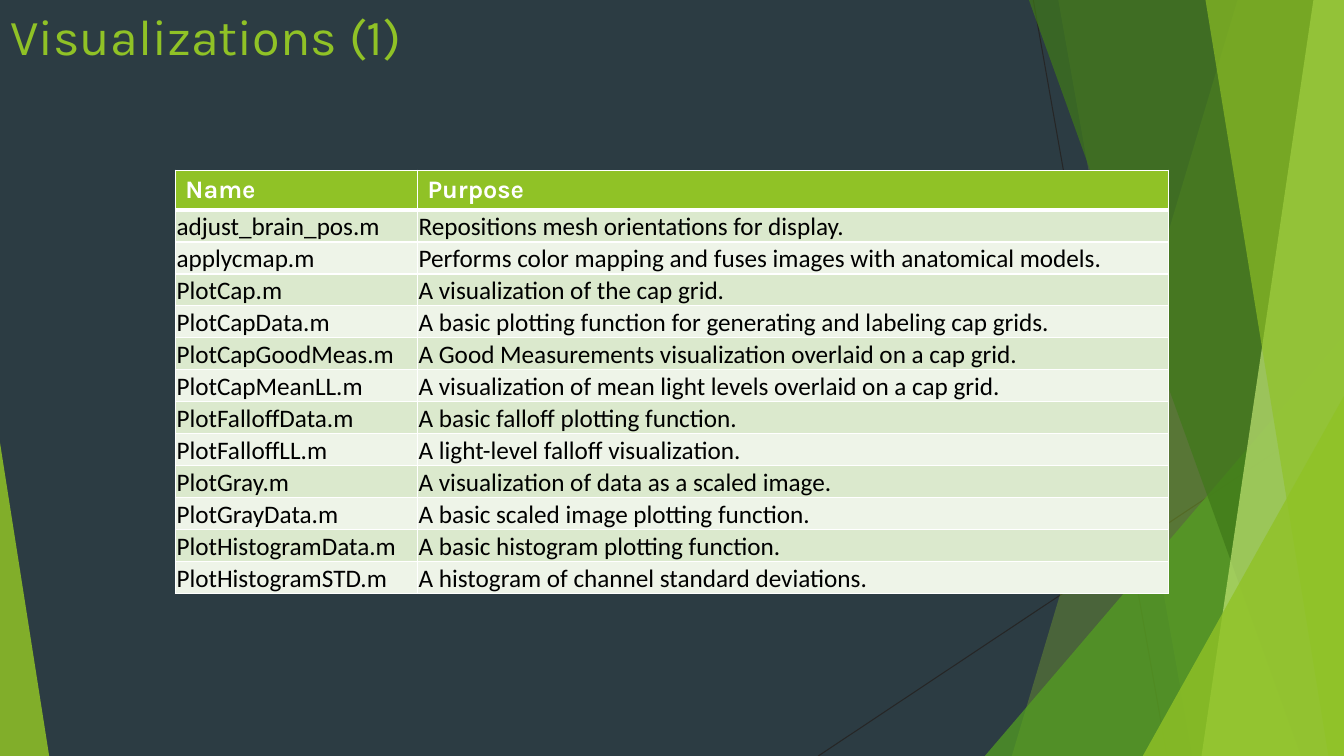
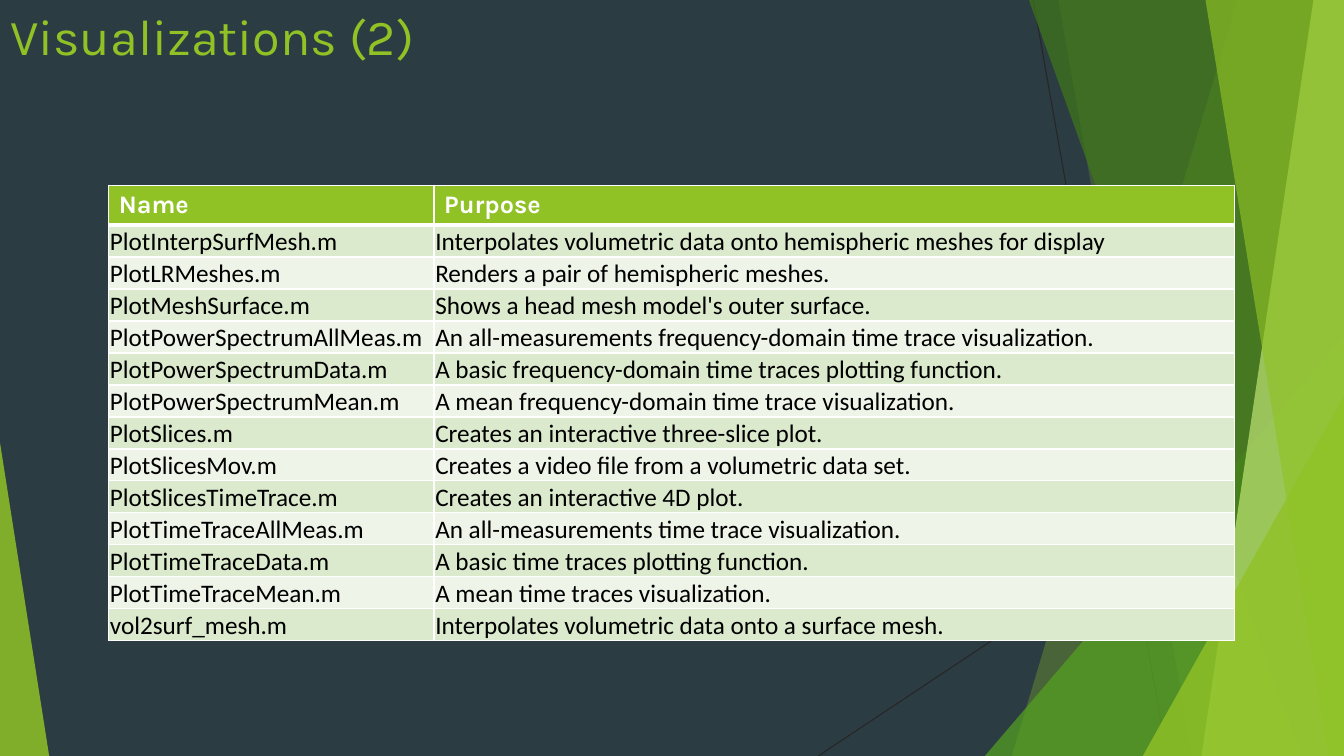
"""Builds the two slides that list the visualization functions."""
from dataclasses import dataclass

from pptx import Presentation
from pptx.dml.color import RGBColor
from pptx.enum.shapes import MSO_CONNECTOR, MSO_SHAPE
from pptx.enum.text import MSO_ANCHOR, MSO_AUTO_SIZE, PP_ALIGN
from pptx.oxml.ns import qn
from pptx.util import Cm, Pt
from lxml import etree

STRAIGHT = MSO_CONNECTOR.STRAIGHT
TRIANGLE = MSO_SHAPE.ISOSCELES_TRIANGLE
TOP, BOTTOM = MSO_ANCHOR.TOP, MSO_ANCHOR.BOTTOM
NO_FIT = MSO_AUTO_SIZE.NONE
LEFT = PP_ALIGN.LEFT

WIDTH, HEIGHT = 33.87, 19.05
TITLE_ONLY = 5


@dataclass(frozen=True)
class Theme:
    background: str = "2C3C43"
    accent: str = "90C226"
    green: str = "54A021"
    dark_green: str = "3F7819"
    pale_green: str = "C0E474"
    hairline: str = "262626"
    white: str = "FFFFFF"
    black: str = "000000"
    bands: tuple = ("DBE9CD", "EEF4E8")
    heading_font: str = "Karla"
    body_font: str = "Calibri"
    title_size: float = 36
    table_size: float = 18
    hairline_width: float = 0.75
    border_width: float = 1
    header_rule_width: float = 3


def rgb(color):
    return RGBColor.from_string(color)


def write_text(tf, text, *, font, size, color, bold=False, align=LEFT):
    p = tf.paragraphs[0]
    p.alignment = align
    r = p.add_run()
    r.text = text
    r.font.name = font
    r.font.size = Pt(size)
    r.font.bold = bold
    r.font.color.rgb = rgb(color)


def set_borders(cell, color, **widths):
    tc_pr = cell._tc.get_or_add_tcPr()
    for index, side in enumerate("LRTB"):
        ln = etree.Element(qn(f"a:ln{side}"), w=str(Pt(widths[side])))
        fill = etree.SubElement(ln, qn("a:solidFill"))
        etree.SubElement(fill, qn("a:srgbClr"), val=color)
        tc_pr.insert(index, ln)


class Deck:
    def __init__(self, theme):
        self.theme = theme
        self.prs = Presentation()
        self.prs.slide_width, self.prs.slide_height = Cm(WIDTH), Cm(HEIGHT)
        fill = self.prs.slide_master.background.fill
        fill.solid()
        fill.fore_color.rgb = rgb(theme.background)
        self.s = None
        self.facets = None

    def add_slide(self, title):
        self.s = self.prs.slides.add_slide(self.prs.slide_layouts[TITLE_ONLY])
        self.facets = self.s.shapes.add_group_shape().shapes
        self.add_decoration()
        self.add_title(title)

    def add_title(self, text):
        t = self.theme
        sp = self.s.shapes.title
        sp.left, sp.top, sp.width, sp.height = Cm(0), Cm(0), Cm(23.88), Cm(3.66)
        tf = sp.text_frame
        tf.auto_size = NO_FIT
        tf.vertical_anchor = TOP
        write_text(tf, text, font=t.heading_font, size=t.title_size, color=t.accent)

    def add_hairline(self, x1, y1, x2, y2):
        line = self.facets.add_connector(STRAIGHT, Cm(x1), Cm(y1), Cm(x2), Cm(y2))
        line.line.color.rgb = rgb(self.theme.hairline)
        line.line.width = Pt(self.theme.hairline_width)
        etree.SubElement(line.element.spPr, qn("a:effectLst"))

    def tint(self, sp, color, opacity):
        sp.shadow.inherit = False
        sp.line.fill.background()
        sp.fill.solid()
        sp.fill.fore_color.rgb = rgb(color)
        clr = sp.element.xpath("./p:spPr/a:solidFill/a:srgbClr")[0]
        etree.SubElement(clr, qn("a:alpha"), val=str(opacity * 1000))

    def add_band(self, top_x, bottom_x, color, opacity):
        builder = self.facets.build_freeform(Cm(top_x), Cm(0))
        corners = [(WIDTH, 0), (WIDTH, HEIGHT), (bottom_x, HEIGHT)]
        builder.add_line_segments([(Cm(x), Cm(y)) for x, y in corners])
        self.tint(builder.convert_to_shape(), color, opacity)

    def add_corner(self, x, y, width, apex, color, opacity):
        sp = self.facets.add_shape(TRIANGLE, Cm(x), Cm(y), Cm(width), Cm(HEIGHT - y))
        sp.adjustments[0] = apex
        self.tint(sp, color, opacity)

    def add_decoration(self):
        t = self.theme
        self.add_hairline(26.04, 0, 29.41, HEIGHT)
        self.add_hairline(WIDTH, 10.24, 20.62, HEIGHT)
        self.add_band(31.19, 25.5, t.accent, 30)
        self.add_band(26.67, 30.05, t.accent, 20)
        self.add_corner(24.82, 8.46, WIDTH - 24.82, 1, t.green, 72)
        self.add_band(25.93, 32.79, t.dark_green, 70)
        self.add_band(33.1, 30.28, t.pale_green, 70)
        self.add_band(30.38, 33.48, t.accent, 65)
        self.add_corner(28.8, 9.98, WIDTH - 28.8, 1, t.accent, 80)
        self.add_corner(0, 11.15, 1.24, 0, t.accent, 85)

    def add_table(self, x, y, col_widths, rows, header_height=1, row_height=0.8):
        rows = [("Name", "Purpose"), *rows]
        height = header_height + row_height * (len(rows) - 1)
        table = self.s.shapes.add_table(
            len(rows), len(col_widths), Cm(x), Cm(y), Cm(sum(col_widths)), Cm(height)
        ).table
        table.horz_banding = False
        for col, width in zip(table.columns, col_widths):
            col.width = Cm(width)
        for i, texts in enumerate(rows):
            table.rows[i].height = Cm(row_height if i else header_height)
            for j, text in enumerate(texts):
                self.fill_cell(table.cell(i, j), text, i)

    def fill_cell(self, cell, text, row):
        t = self.theme
        thin, thick = t.border_width, t.header_rule_width
        cell.fill.solid()
        if row == 0:
            cell.fill.fore_color.rgb = rgb(t.accent)
            look = dict(font=t.heading_font, color=t.white, bold=True)
        else:
            cell.fill.fore_color.rgb = rgb(t.bands[(row - 1) % 2])
            cell.vertical_anchor = BOTTOM
            cell.margin_left = cell.margin_right = cell.margin_top = Cm(0.03)
            cell.margin_bottom = Cm(0)
            look = dict(font=t.body_font, color=t.black)
        write_text(cell.text_frame, text, size=t.table_size, **look)
        set_borders(cell, t.white, L=thin, R=thin,
                    T=thick if row == 1 else thin, B=thick if row == 0 else thin)


PLOT_FUNCTIONS = [
    ("adjust_brain_pos.m", "Repositions mesh orientations for display."),
    ("applycmap.m", "Performs color mapping and fuses images with anatomical models."),
    ("PlotCap.m", "A visualization of the cap grid."),
    ("PlotCapData.m", "A basic plotting function for generating and labeling cap grids."),
    ("PlotCapGoodMeas.m", "A Good Measurements visualization overlaid on a cap grid."),
    ("PlotCapMeanLL.m", "A visualization of mean light levels overlaid on a cap grid."),
    ("PlotFalloffData.m", "A basic falloff plotting function."),
    ("PlotFalloffLL.m", "A light-level falloff visualization."),
    ("PlotGray.m", "A visualization of data as a scaled image."),
    ("PlotGrayData.m", "A basic scaled image plotting function."),
    ("PlotHistogramData.m", "A basic histogram plotting function."),
    ("PlotHistogramSTD.m", "A histogram of channel standard deviations."),
]

MESH_AND_TRACE_FUNCTIONS = [
    ("PlotInterpSurfMesh.m", "Interpolates volumetric data onto hemispheric meshes for display"),
    ("PlotLRMeshes.m", "Renders a pair of hemispheric meshes."),
    ("PlotMeshSurface.m", "Shows a head mesh model's outer surface."),
    ("PlotPowerSpectrumAllMeas.m", "An all-measurements frequency-domain time trace visualization."),
    ("PlotPowerSpectrumData.m", "A basic frequency-domain time traces plotting function."),
    ("PlotPowerSpectrumMean.m", "A mean frequency-domain time trace visualization."),
    ("PlotSlices.m", "Creates an interactive three-slice plot."),
    ("PlotSlicesMov.m", "Creates a video file from a volumetric data set."),
    ("PlotSlicesTimeTrace.m", "Creates an interactive 4D plot."),
    ("PlotTimeTraceAllMeas.m", "An all-measurements time trace visualization."),
    ("PlotTimeTraceData.m", "A basic time traces plotting function."),
    ("PlotTimeTraceMean.m", "A mean time traces visualization."),
    ("vol2surf_mesh.m", "Interpolates volumetric data onto a surface mesh."),
]


def main():
    deck = Deck(Theme())
    deck.add_slide("Visualizations (1)")
    deck.add_table(4.42, 4.29, (6.1, 18.92), PLOT_FUNCTIONS)
    deck.add_slide("Visualizations (2)")
    deck.add_table(2.74, 4.67, (8.2, 20.17), MESH_AND_TRACE_FUNCTIONS)
    deck.prs.save("out.pptx")


if __name__ == "__main__":
    main()
